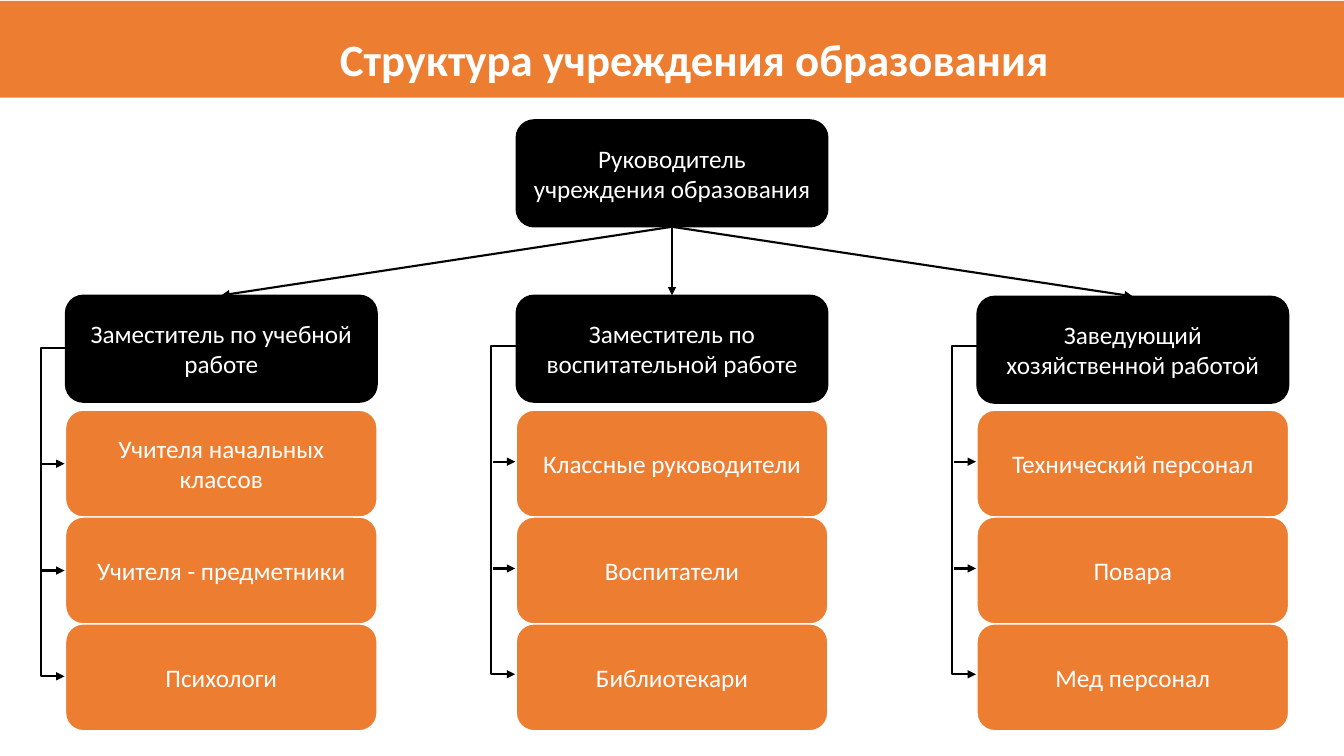
from pptx import Presentation
from pptx import util as u
from pptx.dml.color import RGBColor
from pptx.enum import shapes, text
from pptx.oxml import parse_xml
from pptx.oxml.ns import nsdecls, qn

BLACK, WHITE, ORANGE = "000000", "FFFFFF", "ED7D31"
WIDE, HIGH = 3.09, 1.06
TEAMS = [
    (0.65, 2.93, 3.45, "Заместитель по учебной работе",
     ["Учителя начальных классов", "Учителя - предметники", "Психологи"]),
    (5.12, 2.93, 3.43, "Заместитель по воспитательной работе",
     ["Классные руководители", "Воспитатели", "Библиотекари"]),
    (9.69, 2.94, 3.43, "Заведующий\nхозяйственной работой",
     ["Технический персонал", "Повара", "Мед персонал"]),
]


def color(code):
    return RGBColor.from_string(code)


class Chart:
    """Holds the style and the current slide of the staff chart."""

    font = "Calibri"

    def __init__(self, slide):
        self.slide = slide

    def label(self, shape, words, size, bold=False, space=None):
        frame = shape.text_frame
        frame.word_wrap = True
        frame.vertical_anchor = text.MSO_ANCHOR.MIDDLE
        frame.text = words
        for para in frame.paragraphs:
            para.alignment = text.PP_ALIGN.CENTER
            para.line_spacing = space
            para.font.name = self.font
            para.font.size = u.Pt(size)
            para.font.bold = bold
            para.font.color.rgb = color(WHITE)

    def shape(self, kind, place, fill, line=None):
        item = self.slide.shapes.add_shape(kind, *map(u.Inches, place))
        item.shadow.inherit = False
        item.fill.solid()
        item.fill.fore_color.rgb = color(fill)
        if line:
            item.line.color.rgb = color(line)
            item.line.width = u.Pt(1)
        else:
            item.line.fill.background()
        return item

    def box(self, left, top, words, fill, line):
        kind = shapes.MSO_SHAPE.ROUNDED_RECTANGLE
        item = self.shape(kind, (left, top, WIDE, HIGH), fill, line)
        self.label(item, words, 18)
        return item

    def arrow(self, start, end, home=None, bend=None):
        kind = shapes.MSO_CONNECTOR.ELBOW if bend else shapes.MSO_CONNECTOR.STRAIGHT
        home = home or self.slide
        item = home.shapes.add_connector(kind, *map(u.Inches, start + end))
        item.line.color.rgb = color(BLACK)
        item.line.width = u.Pt(1.5)
        props = item._element.spPr
        props.append(parse_xml(f"<a:effectLst {nsdecls('a')}/>"))
        props.find(qn("a:ln")).append(
            parse_xml(f'<a:tailEnd {nsdecls("a")} type="triangle"/>'))
        if bend:
            guide = f'<a:gd {nsdecls("a")} name="adj1" fmla="val {bend}"/>'
            props.find(qn("a:prstGeom")).find(qn("a:avLst")).append(parse_xml(guide))
        return item

    def link(self, upper, lower):
        item = self.arrow((0, 0), (1, 1))
        item.begin_connect(upper, 2)
        item.end_connect(lower, 0)

    def rail(self, left, top):
        group = self.slide.shapes.add_group_shape()
        self.arrow((left, top), (left - 0.01, top + 3.26), group, 2500000)
        for step in (1.15, 2.21):
            self.arrow((left - 0.23, top + step), (left - 0.01, top + step), group)

    def title(self, words):
        self.shape(shapes.MSO_SHAPE.RECTANGLE, (0, 0.01, 13.33, 0.96), ORANGE)
        place = map(u.Inches, (1.14, 0.27, 11.5, 0.69))
        self.label(self.slide.shapes.add_textbox(*place), words, 32, True, 0.9)


def main():
    deck = Presentation()
    deck.slide_width = u.Inches(13.33)
    deck.slide_height = u.Inches(7.5)
    chart = Chart(deck.slides.add_slide(deck.slide_layouts[6]))
    head = chart.box(5.12, 1.19, "Руководитель учреждения образования", BLACK, BLACK)
    for left, top, rail, chief, staff in TEAMS:
        lead = chart.box(left, top, chief, BLACK, BLACK)
        for row, words in enumerate(staff):
            chart.box(left, 4.07 + row * HIGH, words, ORANGE, WHITE)
        chart.link(head, lead)
        chart.rail(left, rail)
    chart.title("Структура учреждения образования")
    deck.save("out.pptx")


if __name__ == "__main__":
    main()
